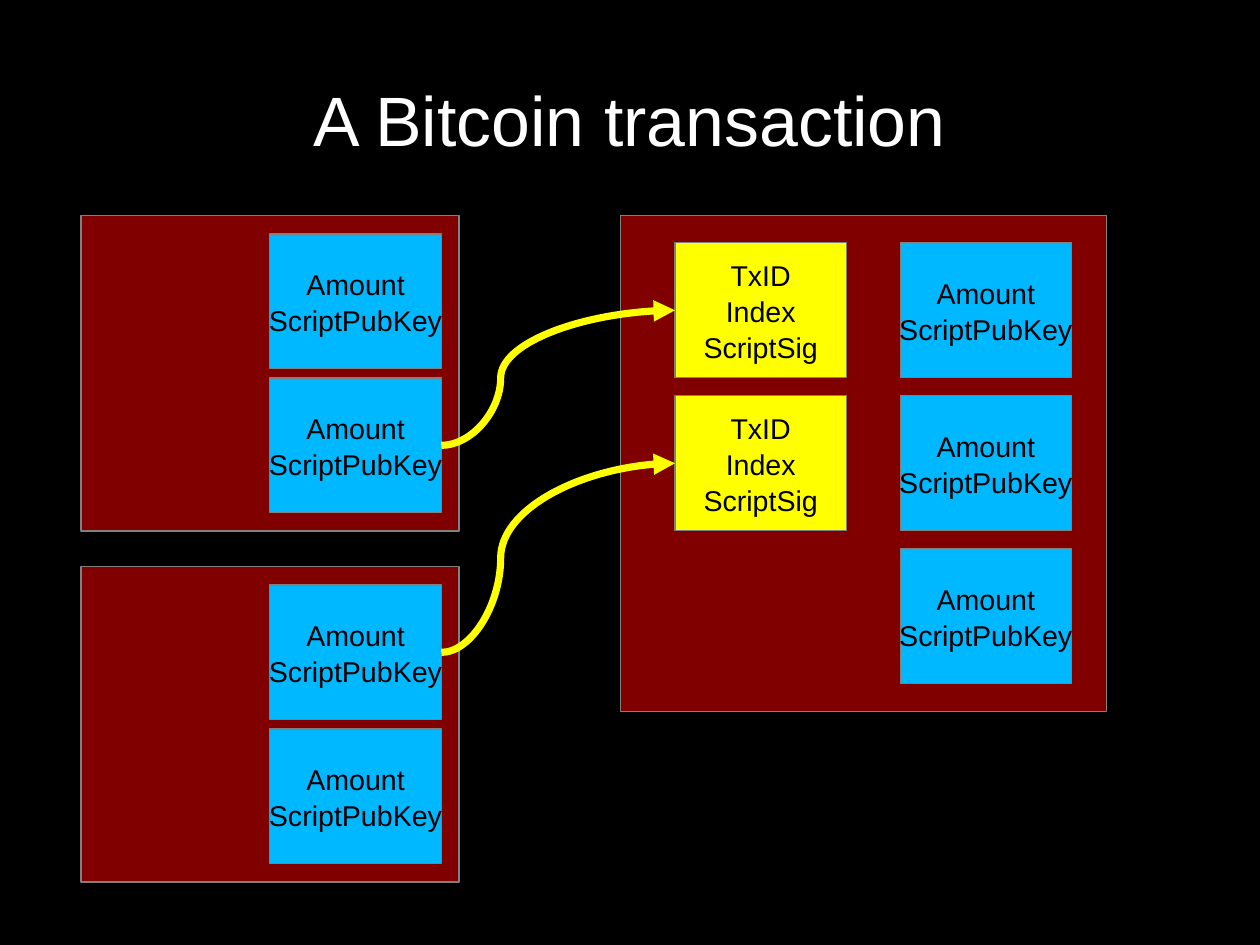
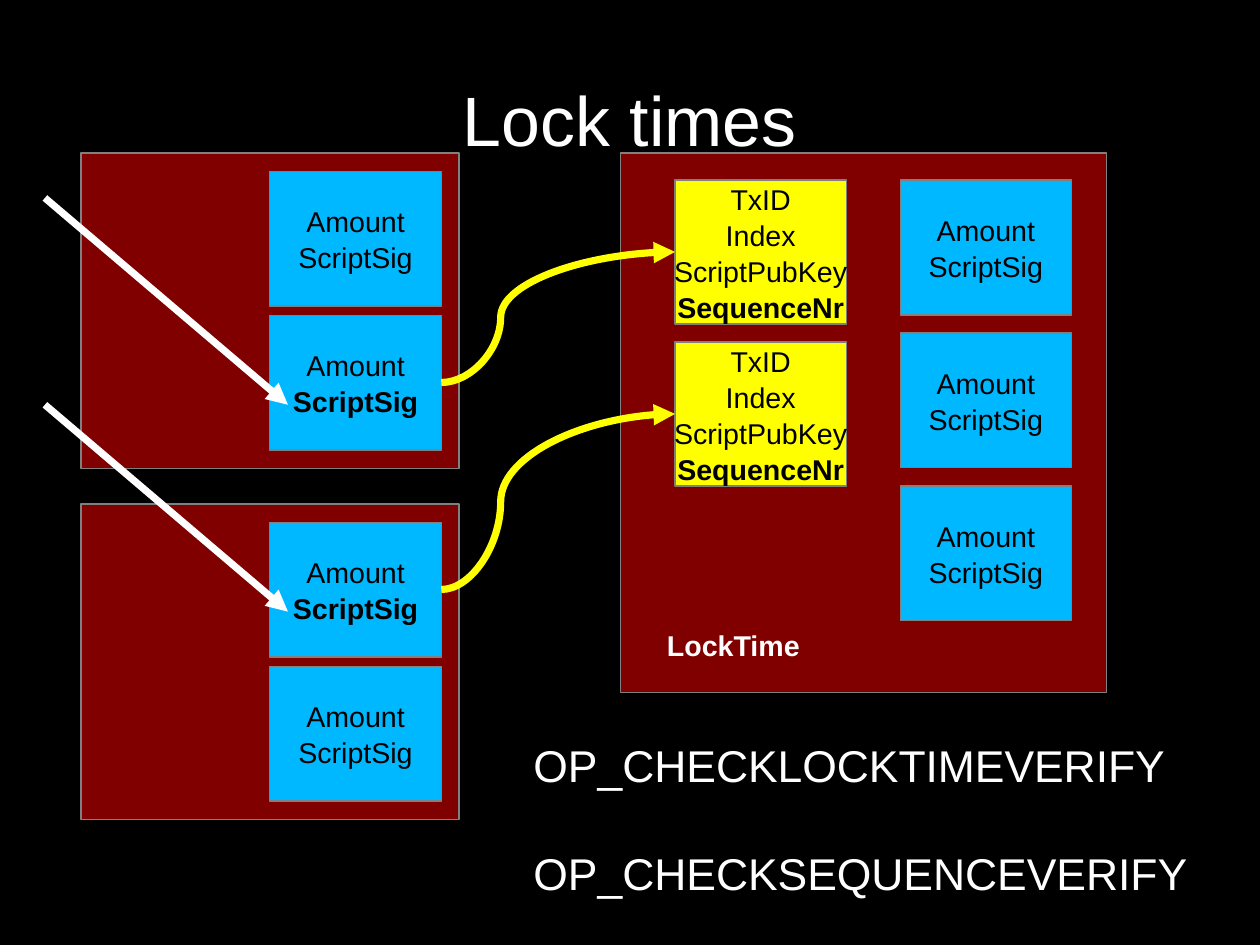
from pptx import Presentation
from pptx.util import Pt
from pptx.dml.color import RGBColor
from pptx.enum import shapes, text
from pptx.oxml import parse_xml
from pptx.oxml.ns import nsdecls

# Content: a leading * marks a bold line
KEY = ("Amount", "ScriptPubKey")
SIG = ("Amount", "ScriptSig")
LOCK = ("Amount", "*ScriptSig")
SPEND = ("TxID", "Index", "ScriptSig")
SEQ = ("TxID", "Index", "ScriptPubKey", "*SequenceNr")
SLIDES = [
    dict(title="A Bitcoin transaction", top=136, tall=312, deep=85,
         past=[[KEY, KEY], [KEY, KEY]], ins=[SPEND] * 2, outs=[KEY] * 3),
    dict(title="Lock times", top=96.4, tall=340, deep=90.7,
         past=[[SIG, LOCK], [LOCK, SIG]], ins=[SEQ] * 2, outs=[SIG] * 3),
]
LINKS = [(0, 1), (1, 0)]  # past transaction, output that is spent
CODES = ["OP_CHECKLOCKTIMEVERIFY", "OP_CHECKSEQUENCEVERIFY"]

# Shared style
INK = dict(back="000000", panel="800000", out="00B8FF", inp="FFFF00",
           edge="808080", text="000000", light="FFFFFF")
FONT = "Arial"
WIDE, HIGH = 793.7, 595.3
BOX_W, BOX_H = 108, 85
PAST_X, PAST_W, PAST_H, PAST_STEP = 51, 238.2, 198.5, 221.1
NEW_X, NEW_W = 391, 306
OLD_X, IN_X, OUT_X = 170, 425.2, 567
GAP_OLD, GAP_NEW = 5.7, 11.35
PAD_OLD, PAD_NEW = 11.4, 17


def rgb(name):
    return RGBColor.from_string(INK[name])


def write(frame, lines, size, ink, align=text.PP_ALIGN.CENTER, gap=0):
    for i, line in enumerate(lines):
        par = frame.paragraphs[0] if i == 0 else frame.add_paragraph()
        par.text = line.lstrip("*")
        par.alignment = align
        par.line_spacing = 1.05
        if i and gap:
            par.space_before = Pt(gap)
        font = par.font
        font.name, font.size = FONT, Pt(size)
        font.bold = line.startswith("*")
        font.color.rgb = rgb(ink)


def block(slide, x, y, w, h, fill, lines=()):
    box = slide.shapes.add_shape(shapes.MSO_SHAPE.RECTANGLE,
                                 Pt(x), Pt(y), Pt(w), Pt(h))
    box.shadow.inherit = False
    box.fill.solid()
    box.fill.fore_color.rgb = rgb(fill)
    box.line.color.rgb = rgb("edge")
    box.line.width = Pt(0)
    if lines:
        frame = box.text_frame
        frame.word_wrap = False
        frame.vertical_anchor = text.MSO_ANCHOR.MIDDLE
        write(frame, lines, 18, "text")
    return box


def stack(slide, x, y, h, gap, fill, items):
    return [block(slide, x, y + i * (h + gap), BOX_W, h, fill, lines)
            for i, lines in enumerate(items)]


def arrow(slide, kind, ink, x1=0, y1=0, x2=0, y2=0):
    link = slide.shapes.add_connector(kind, Pt(x1), Pt(y1), Pt(x2), Pt(y2))
    link.line.color.rgb = rgb(ink)
    link.line.width = Pt(4.5)
    link.line._get_or_add_ln().append(
        parse_xml(f'<a:tailEnd {nsdecls("a")} type="triangle"/>'))
    link._element.spPr.append(parse_xml(f'<a:effectLst {nsdecls("a")}/>'))
    return link


def curve(slide, start, end):
    link = arrow(slide, shapes.MSO_CONNECTOR.CURVE, "inp")
    link.begin_connect(start, 3)
    link.end_connect(end, 1)
    bend = link._element.spPr.xpath(".//a:avLst")[0]
    bend.append(parse_xml(f'<a:gd {nsdecls("a")} name="adj1" fmla="val 25400"/>'))


def label(slide, x, y, w, h, lines, size, **style):
    frame = slide.shapes.add_textbox(Pt(x), Pt(y), Pt(w), Pt(h)).text_frame
    frame.word_wrap = False
    write(frame, lines, size, "light", **style)


def build(deck, data):
    slide = deck.slides.add_slide(deck.slide_layouts[5])
    # Title
    head = slide.shapes.title
    head.left, head.top, head.width, head.height = Pt(39.7), Pt(23.7), Pt(714.3), Pt(99.4)
    frame = head.text_frame
    frame.margin_left = frame.margin_right = frame.margin_top = frame.margin_bottom = 0
    frame.auto_size = text.MSO_AUTO_SIZE.NONE
    frame.vertical_anchor = text.MSO_ANCHOR.MIDDLE
    write(frame, [data["title"]], 44, "light")

    # New transaction with its inputs and outputs
    top = data["top"]
    block(slide, NEW_X, top, NEW_W, data["tall"], "panel")
    stack(slide, OUT_X, top + PAD_NEW, BOX_H, GAP_NEW, "out", data["outs"])
    ins = stack(slide, IN_X, top + PAD_NEW, data["deep"], GAP_NEW, "inp", data["ins"])

    # Past transactions
    past = []
    for i, items in enumerate(data["past"]):
        y = top + i * PAST_STEP
        block(slide, PAST_X, y, PAST_W, PAST_H, "panel")
        past.append(stack(slide, OLD_X, y + PAD_OLD, BOX_H, GAP_OLD, "out", items))

    # Spending links
    for (tx, out), end in zip(LINKS, ins):
        curve(slide, past[tx][out], end)
    return slide


def main():
    deck = Presentation()
    deck.slide_width, deck.slide_height = Pt(WIDE), Pt(HIGH)
    fill = deck.slide_master.background.fill
    fill.solid()
    fill.fore_color.rgb = rgb("back")
    _, lock = [build(deck, data) for data in SLIDES]

    # Lock time notes
    label(lock, 402.5, 391, 119, 27.4, ["*LockTime"], 18)
    for y in (124.7, 255):
        arrow(lock, shapes.MSO_CONNECTOR.STRAIGHT, "light", 28.3, y, 181.4, y + 130.3)
    label(lock, 329, 459.4, 426, 101, CODES, 28,
          align=text.PP_ALIGN.LEFT, gap=33)
    deck.save("out.pptx")


if __name__ == "__main__":
    main()
